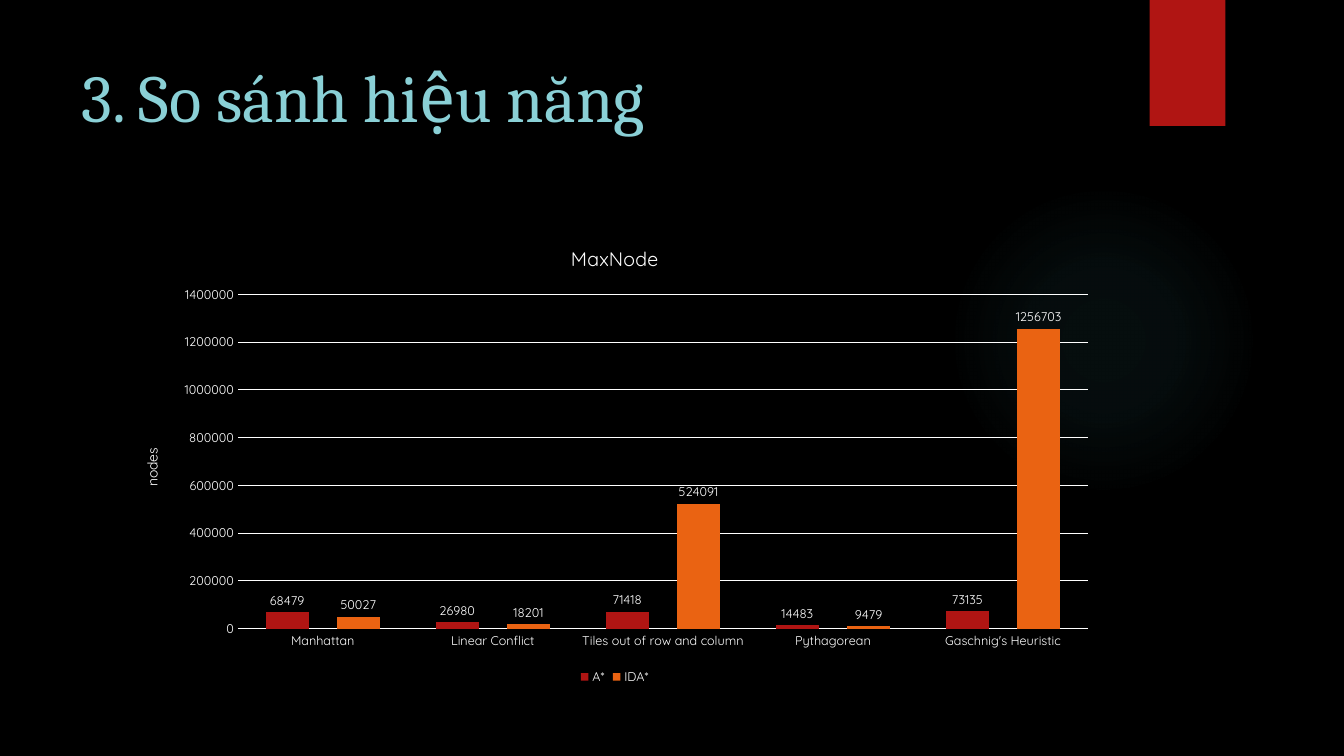
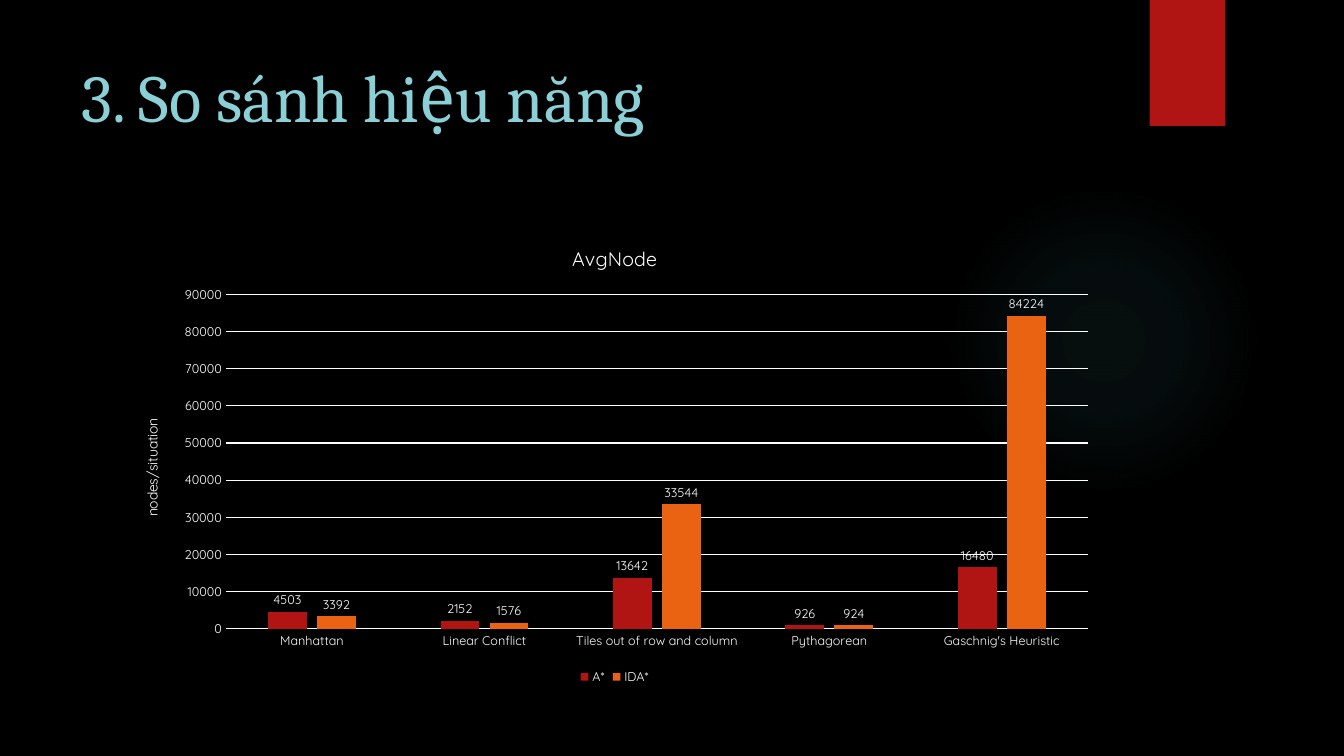
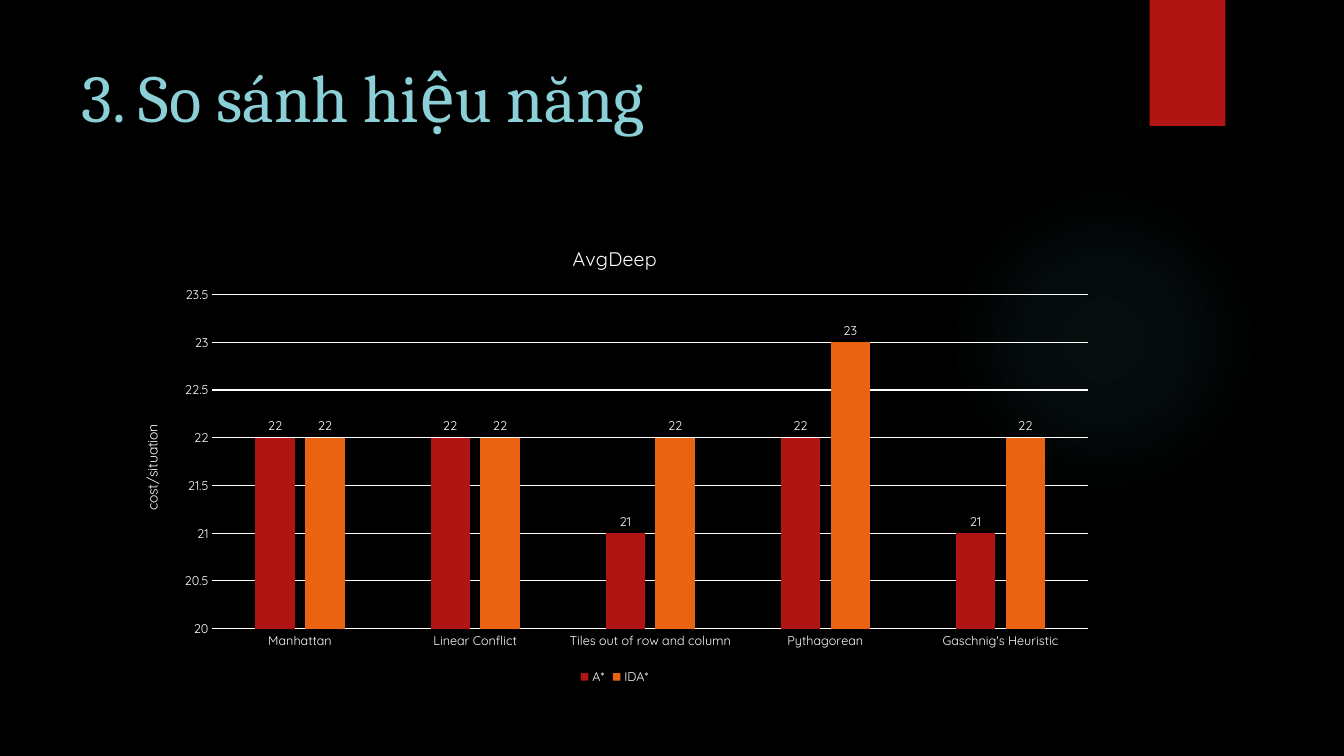
import lxml.etree
import pptx
import pptx.chart.data
import pptx.dml.color
import pptx.enum.chart
import pptx.enum.shapes
import pptx.oxml
import pptx.oxml.ns
import pptx.util

PX = 9525  # EMU per px, 96 px to the inch

BLACK, WHITE = "000000", "FFFFFF"
RED, ORANGE = "B01513", "EA6312"
GLOW, TITLE_BLUE = "50B9C1", "8AD0D6"
TITLE_FONT, CHART_FONT = "Cambria", "Quicksand"

HEURISTICS = ["Manhattan", "Linear Conflict", "Tiles out of row and column",
              "Pythagorean", "Gaschnig's Heuristic"]
ALGORITHMS = {"A*": RED, "IDA*": ORANGE}

# Chart title, unit, gap width, overlap, scale (min, max, step), A* and IDA* values
COMPARISONS = [
    ("MaxNode", "nodes", 129, -65, (0, 1400000, 200000),
     [68479, 26980, 71418, 14483, 73135], [50027, 18201, 524091, 9479, 1256703]),
    ("AvgNode", "nodes/situation", 219, -27, (0, 90000, 10000),
     [4503, 2152, 13642, 926, 16480], [3392, 1576, 33544, 924, 84224]),
    ("AvgDeep", "cost/situation", 219, -27, (20, 23.5, 0.5),
     [22, 22, 21, 22, 21], [22, 22, 22, 23, 22]),
]


def rgb(code):
    return pptx.dml.color.RGBColor.from_string(code)


def style(font, size, color=WHITE, name=CHART_FONT):
    font.size = pptx.util.Pt(size)
    font.name = name
    font.bold = False
    font.color.rgb = rgb(color)


def draw_line(line, color=WHITE):
    line.color.rgb = rgb(color)
    line.width = pptx.util.Pt(0.75)


class Deck:
    def __init__(self):
        self.prs = pptx.Presentation()
        self.prs.slide_width = 1280 * PX
        self.prs.slide_height = 720 * PX
        self.slide = None

    def new_slide(self, title):
        self.slide = self.prs.slides.add_slide(self.prs.slide_layouts[6])
        background = self.slide.background.fill
        background.solid()
        background.fore_color.rgb = rgb(BLACK)
        self.glow(903, 176, 296)
        self.band(1095, 0, 72, 120)
        self.title(title, 68, 48, 988, 147)

    def shape(self, kind, *box):
        shape = self.slide.shapes.add_shape(kind, *(n * PX for n in box))
        shape.shadow.inherit = False
        shape.line.fill.background()
        return shape

    def band(self, *box):
        band = self.shape(pptx.enum.shapes.MSO_SHAPE.RECTANGLE, *box)
        band.fill.solid()
        band.fill.fore_color.rgb = rgb(RED)

    def glow(self, left, top, size):
        glow = self.shape(pptx.enum.shapes.MSO_SHAPE.OVAL, left, top, size, size)
        glow.fill.background()
        # Radial gradient that fades out: (position %, opacity %)
        stops = "".join(
            f'<a:gs pos="{pos * 1000}"><a:srgbClr val="{GLOW}">'
            f'<a:alpha val="{alpha * 1000}"/></a:srgbClr></a:gs>'
            for pos, alpha in [(0, 7), (36, 6), (69, 0)])
        gradient = pptx.oxml.parse_xml(
            f'<a:gradFill {pptx.oxml.ns.nsdecls("a")}><a:gsLst>{stops}</a:gsLst>'
            '<a:path path="circle"><a:fillToRect l="50000" t="50000" r="50000" '
            'b="50000"/></a:path></a:gradFill>')
        properties = glow.element.spPr
        properties.replace(properties.find(pptx.oxml.ns.qn("a:noFill")), gradient)

    def title(self, text, *box):
        frame = self.slide.shapes.add_textbox(*(n * PX for n in box)).text_frame
        frame.word_wrap = True
        frame.text = text
        style(frame.paragraphs[0].font, 48, TITLE_BLUE, TITLE_FONT)

    def column_chart(self, title, unit, gap, overlap, scale, columns, *box):
        data = pptx.chart.data.CategoryChartData()
        data.categories = HEURISTICS
        for algorithm, values in zip(ALGORITHMS, columns):
            data.add_series(algorithm, values)
        chart = self.slide.shapes.add_chart(
            pptx.enum.chart.XL_CHART_TYPE.COLUMN_CLUSTERED,
            *(n * PX for n in box), data).chart
        style(chart.font, 10)

        # Title and legend
        chart.has_title = True
        chart.chart_title.include_in_layout = False
        chart.chart_title.text_frame.text = title
        style(chart.chart_title.text_frame.paragraphs[0].font, 14)
        chart.has_legend = True
        chart.legend.position = pptx.enum.chart.XL_LEGEND_POSITION.BOTTOM
        chart.legend.include_in_layout = False
        style(chart.legend.font, 9)

        # Axes
        for axis in (chart.category_axis, chart.value_axis):
            axis.major_tick_mark = pptx.enum.chart.XL_TICK_MARK.NONE
            axis.minor_tick_mark = pptx.enum.chart.XL_TICK_MARK.NONE
            style(axis.tick_labels.font, 9)
        draw_line(chart.category_axis.format.line)
        amounts = chart.value_axis
        amounts.minimum_scale, amounts.maximum_scale, amounts.major_unit = scale
        amounts.format.line.fill.background()
        draw_line(amounts.major_gridlines.format.line)
        unit_frame = amounts.axis_title.text_frame
        unit_frame.text = unit
        style(unit_frame.paragraphs[0].font, 10)
        for body in amounts.axis_title._element.iter(pptx.oxml.ns.qn("a:bodyPr")):
            body.set("rot", "-5400000")
            body.set("vert", "horz")

        # Columns and their values
        plot = chart.plots[0]
        plot.vary_by_categories = False
        plot.gap_width = gap
        plot.overlap = overlap
        for series, color in zip(plot.series, ALGORITHMS.values()):
            series.format.fill.solid()
            series.format.fill.fore_color.rgb = rgb(color)
            labels = series.data_labels
            labels.show_value = True
            labels.position = pptx.enum.chart.XL_LABEL_POSITION.OUTSIDE_END
            style(labels.font, 9)


def main():
    deck = Deck()
    for title, unit, gap, overlap, scale, *columns in COMPARISONS:
        deck.new_slide("3. So sánh hiệu năng")
        deck.column_chart(title, unit, gap, overlap, scale, columns,
                          116, 215, 939, 441)
    deck.prs.save("out.pptx")


if __name__ == "__main__":
    main()
